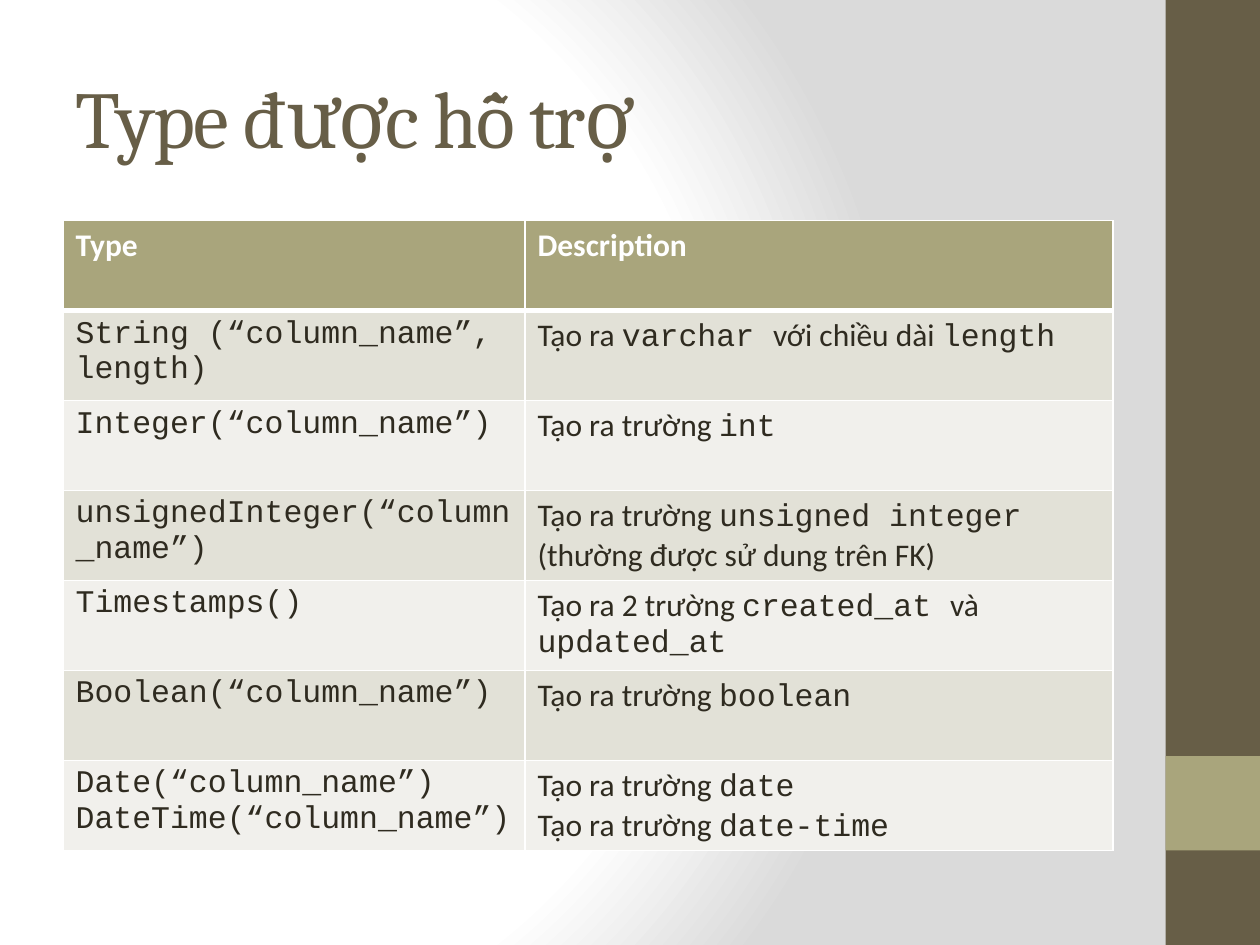
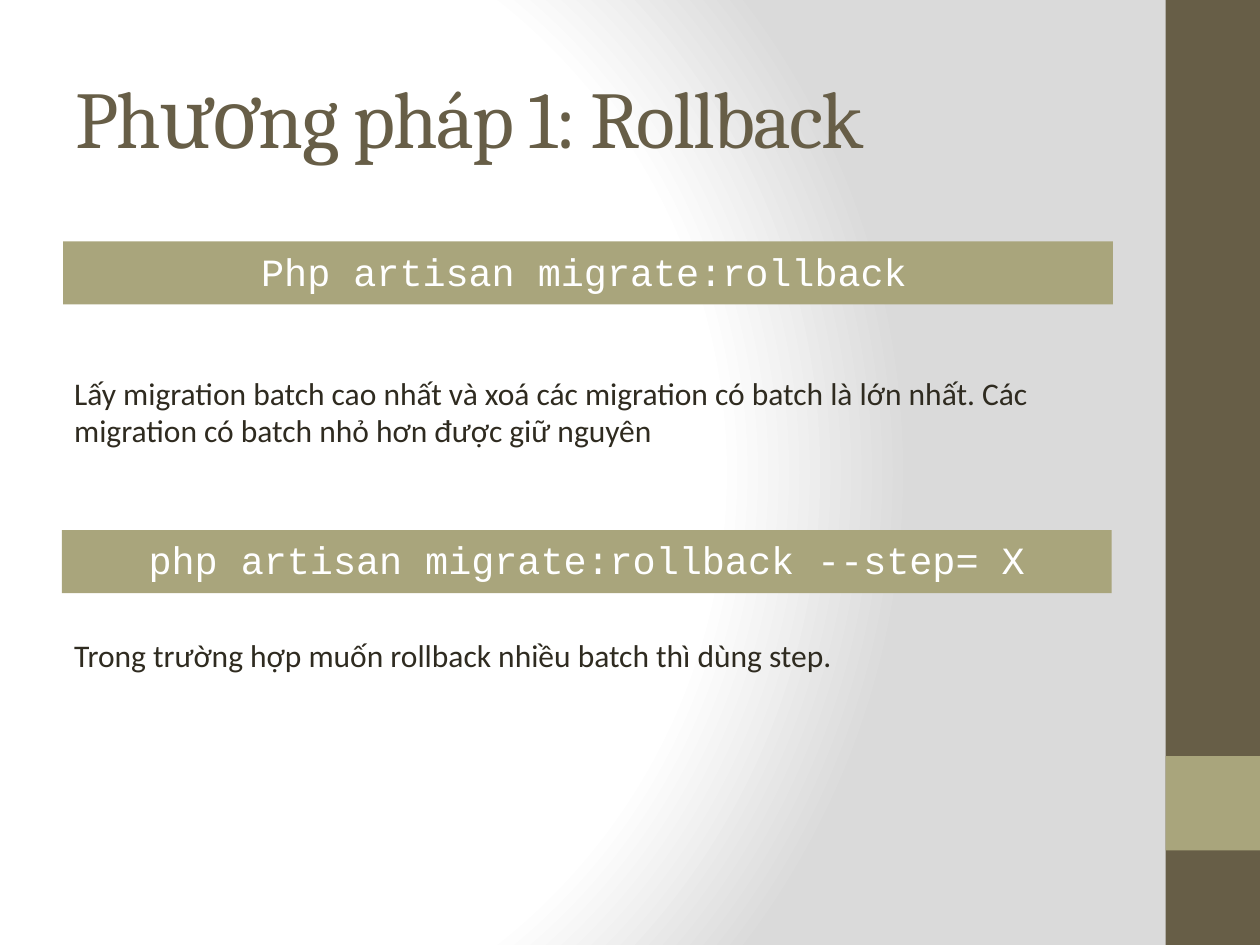
import pptx
import pptx.util
import pptx.dml.color
import pptx.enum.shapes
import pptx.enum.text
import pptx.oxml
import pptx.oxml.ns

Pt = pptx.util.Pt
INK = {
    "brown": "675E47",
    "olive": "A9A57C",
    "text": "2F2B20",
    "white": "FFFFFF",
    "grey": "DADADA",
    "dark": "E2E1D7",
    "light": "F1F0EC",
}
BODY, CODE, HEAD = "Calibri", "Courier New", "Cambria"
LEFT, WIDTH = 36, 600
TYPES = [
    ("Type", "Description"),
    ("`String (“column_name”, length)`", "Tạo ra `varchar `với chiều dài `length`"),
    ("`Integer(“column_name”)`", "Tạo ra trường `int`"),
    ("`unsignedInteger(“column_name”)`",
     "Tạo ra trường `unsigned integer `(thường được sử dung trên FK)"),
    ("`Timestamps()`", "Tạo ra 2 trường `created_at `và `updated_at`"),
    ("`Boolean(“column_name”)`", "Tạo ra trường `boolean`"),
    ("`Date(“column_name”)`\n`DateTime(“column_name”)`",
     "Tạo ra trường `date`\nTạo ra trường `date-time`"),
]


def shade(fill, ink):
    fill.solid()
    fill.fore_color.rgb = pptx.dml.color.RGBColor.from_string(INK[ink])


def style(para, size, ink, face=None, bold=False):
    font = para.font
    font.size, font.bold = Pt(size), bold
    if face:
        font.name = face
    shade(font.fill, ink)


def write(frame, text, size, ink, bold=False):
    for row, line in enumerate(text.split("\n")):
        para = frame.add_paragraph() if row else frame.paragraphs[0]
        parts = [(part, CODE if spot % 2 else BODY)
                 for spot, part in enumerate(line.split("`")) if part]
        faces = {face for part, face in parts}
        style(para, size, ink, faces.pop() if len(faces) == 1 else None, bold)
        for part, face in parts:
            run = para.add_run()
            run.text = part
            if faces:
                run.font.name = face


def add_block(slide, left, top, width, height, ink):
    kind = pptx.enum.shapes.MSO_SHAPE.RECTANGLE
    block = slide.shapes.add_shape(kind, Pt(left), Pt(top), Pt(width), Pt(height))
    block.shadow.inherit = False
    shade(block.fill, ink)
    block.line.fill.background()
    return block


def add_box(slide, left, top, height):
    box = slide.shapes.add_textbox(Pt(left), Pt(top), Pt(WIDTH), Pt(height))
    box.text_frame.word_wrap = True
    return box.text_frame


def add_note(slide, top, height, text):
    write(add_box(slide, LEFT - 0.7, top, height), text, 18, "text")


def add_code(slide, left, top, text, inset=7.2):
    frame = add_block(slide, left, top, WIDTH, 36, "olive").text_frame
    frame.word_wrap = True
    frame.margin_left = Pt(inset)
    frame.vertical_anchor = pptx.enum.text.MSO_ANCHOR.TOP
    write(frame, f"`{text}`", 22, "white")
    para = frame.paragraphs[0]
    para.alignment = pptx.enum.text.PP_ALIGN.CENTER
    para.space_before = Pt(4.4)


def add_edge(cell, side, width):
    cell._tc.get_or_add_tcPr().append(pptx.oxml.parse_xml(
        f'<a:ln{side} {pptx.oxml.ns.nsdecls("a")} w="{Pt(width)}"><a:solidFill>'
        f'<a:srgbClr val="{INK["white"]}"/></a:solidFill></a:ln{side}>'))


def add_grid(slide, rows):
    grid = slide.shapes.add_table(
        len(rows), 2, Pt(LEFT), Pt(126), Pt(WIDTH), Pt(360)).table
    for col, width in zip(grid.columns, (264, 336)):
        col.width = Pt(width)
    for row, texts in enumerate(rows):
        grid.rows[row].height = Pt(360 / len(rows))
        fill = ("light", "dark")[row % 2] if row else "olive"
        for col, text in enumerate(texts):
            cell = grid.cell(row, col)
            for side in "LRTB":
                thick = (row, side) in ((0, "B"), (1, "T"))
                add_edge(cell, side, 3 if thick else 1)
            shade(cell.fill, fill)
            write(cell.text_frame, text, 18, "text" if row else "white", row == 0)


def set_back(deck):
    base = deck.slide_master.element.cSld
    old = base.find(pptx.oxml.ns.qn("p:bg"))
    if old is not None:
        base.remove(old)
    stops = "".join(
        f'<a:gs pos="{spot * 1000}"><a:srgbClr val="{INK[ink]}"/></a:gs>'
        for spot, ink in ((0, "white"), (75, "white"), (100, "grey")))
    base.insert(0, pptx.oxml.parse_xml(
        f'<p:bg {pptx.oxml.ns.nsdecls("p", "a")}><p:bgPr><a:gradFill rotWithShape="1">'
        f'<a:gsLst>{stops}</a:gsLst><a:path path="circle">'
        '<a:fillToRect l="20000" t="50000" r="100000" b="50000"/></a:path>'
        '</a:gradFill><a:effectLst/></p:bgPr></p:bg>'))


def add_slide(deck, title):
    slide = deck.slides.add_slide(deck.slide_layouts[6])
    add_block(slide, 666, 0, 54, 540, "brown")
    add_block(slide, 666, 432, 54, 54, "olive")
    frame = add_box(slide, LEFT, 21.6, 90)
    frame.vertical_anchor = pptx.enum.text.MSO_ANCHOR.MIDDLE
    para = frame.paragraphs[0]
    style(para, 46, "brown", HEAD)
    run = para.add_run()
    run.text = title
    run.font._element.set("spc", "-100")
    return slide


def main():
    deck = pptx.Presentation()
    deck.slide_width, deck.slide_height = Pt(720), Pt(540)
    set_back(deck)

    add_grid(add_slide(deck, "Type được hỗ trợ"), TYPES)

    slide = add_slide(deck, "Phương pháp 1: Rollback")
    add_code(slide, LEFT, 138, "Php artisan migrate:rollback ", 15.8)
    add_note(slide, 210, 51, "Lấy migration batch cao nhất và xoá các migration có batch "
             "là lớn nhất. Các migration có batch nhỏ hơn được giữ nguyên")
    add_code(slide, LEFT - 0.7, 303, "php artisan migrate:rollback --step= X")
    add_note(slide, 360, 29, "Trong trường hợp muốn rollback nhiều batch thì dùng step.")
    deck.save("out.pptx")


if __name__ == "__main__":
    main()
